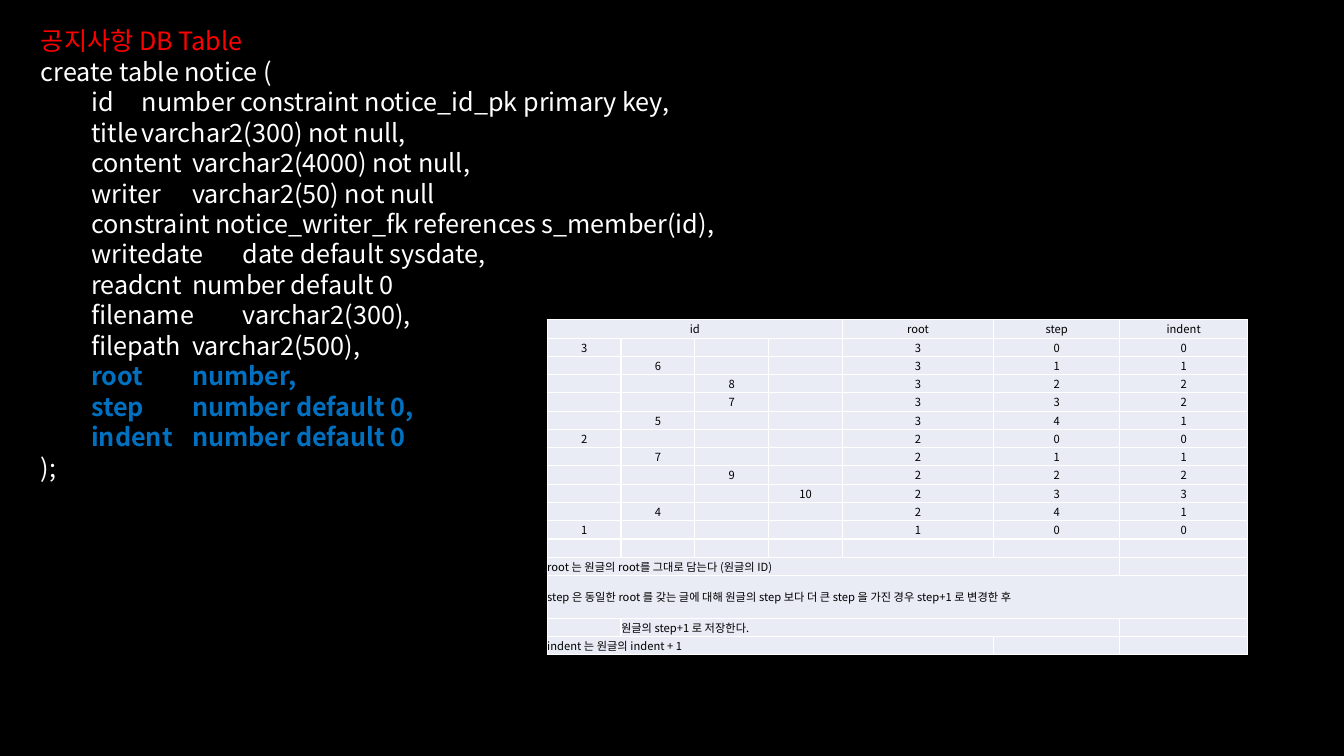
from dataclasses import dataclass

from lxml import etree
from pptx import Presentation
from pptx.dml.color import RGBColor
from pptx.enum.text import MSO_ANCHOR, MSO_AUTO_SIZE, PP_ALIGN
from pptx.oxml.ns import qn
from pptx.util import Cm, Pt

TOP, MIDDLE = MSO_ANCHOR.TOP, MSO_ANCHOR.MIDDLE
LEFT, CENTER = PP_ALIGN.LEFT, PP_ALIGN.CENTER
NO_AUTOFIT = MSO_AUTO_SIZE.NONE

FONT = "Noto Sans CJK KR"
BLACK, WHITE, RED, BLUE, PALE = "000000", "FFFFFF", "FF0000", "0070C0", "E9EBF5"
CODE_INDENT = 0.3
LINE_FORMAT = {"alignment": LEFT, "line_spacing": Pt(21.75),
               "space_before": Pt(0), "space_after": Pt(0)}
FRAME_FORMAT = {"word_wrap": True, "auto_size": NO_AUTOFIT, "vertical_anchor": TOP,
                "margin_left": Cm(0.25), "margin_right": Cm(0.25),
                "margin_top": Cm(0), "margin_bottom": Cm(0)}
CELL_FORMAT = {"vertical_anchor": MIDDLE, "margin_left": 0, "margin_right": 0,
               "margin_top": 0, "margin_bottom": 0}


@dataclass(frozen=True)
class SqlLine:
    """One line of the statement; each tab in it uses the next stop, in cm."""
    text: str
    stops: tuple[float, ...] = ()
    color: str = WHITE
    bold: bool = False


@dataclass(frozen=True)
class Post:
    id: int
    root: int
    step: int
    indent: int


@dataclass(frozen=True)
class Note:
    text: str
    row: int
    first: int
    last: int


def column(name: str, definition: str, stop: float, key: bool = False) -> SqlLine:
    return SqlLine(f"\t{name}\t{definition}", (CODE_INDENT, stop),
                   BLUE if key else WHITE, key)


SQL = [
    SqlLine("create table notice ("),
    column("id", "number constraint notice_id_pk primary key,", 2.26),
    column("title", "varchar2(300) not null,", 2.46),
    column("content", "varchar2(4000) not null,", 3.3),
    column("writer", "varchar2(50) not null", 2.9),
    SqlLine("\tconstraint notice_writer_fk references s_member(id),", (2.42,)),
    column("writedate", "date default sysdate,", 3.56),
    column("readcnt", "number default 0", 3.28),
    column("filename", "varchar2(300),", 3.45),
    column("filepath", "varchar2(500),", 3.12),
    column("root", "number,", 2.77, key=True),
    column("step", "number default 0,", 2.77, key=True),
    column("indent", "number default 0", 3.2, key=True),
    SqlLine(");"),
]
POSTS = [
    Post(3, 3, 0, 0), Post(6, 3, 1, 1), Post(8, 3, 2, 2), Post(7, 3, 3, 2),
    Post(5, 3, 4, 1), Post(2, 2, 0, 0), Post(7, 2, 1, 1), Post(9, 2, 2, 2),
    Post(10, 2, 3, 3), Post(4, 2, 4, 1), Post(1, 1, 0, 0),
]
NOTES = [
    Note("root 는 원글의 root를 그대로 담는다 (원글의 ID)", 13, 0, 5),
    Note("step 은 동일한 root 를 갖는 글에 대해 원글의 step 보다 더 큰 step 을 가진 경우 "
         "step+1 로 변경한 후", 14, 0, 6),
    Note("원글의 step+1 로 저장한다.", 15, 1, 5),
    Note("indent 는 원글의 indent + 1", 16, 0, 4),
]
COLUMN_WIDTHS = [1.86] * 4 + [3.81, 3.18, 3.22]
ROW_HEIGHTS = [0.46] * 14 + [1.08] + [0.46] * 2


def rgb(value: str) -> RGBColor:
    return RGBColor.from_string(value)


def apply(target, formats: dict) -> None:
    for name, value in formats.items():
        setattr(target, name, value)


def add_run(paragraph, text: str, size: float, color: str, bold: bool = False) -> None:
    run = paragraph.add_run()
    run.text = text
    apply(run.font, {"name": FONT, "size": Pt(size), "bold": bold})
    run.font.color.rgb = rgb(color)
    etree.SubElement(run.font._element, qn("a:ea"), typeface=FONT)


def place(placeholder, left: float, top: float, width: float, height: float) -> None:
    apply(placeholder, {"left": Cm(left), "top": Cm(top),
                        "width": Cm(width), "height": Cm(height)})
    apply(placeholder.text_frame, FRAME_FORMAT)


def write_line(paragraph, line: SqlLine) -> None:
    apply(paragraph, LINE_FORMAT)
    properties = paragraph._p.get_or_add_pPr()
    properties.set("marL", "0")
    properties.set("indent", "0")
    etree.SubElement(properties, qn("a:buNone"))
    if line.stops:
        tabs = etree.SubElement(properties, qn("a:tabLst"))
        for stop in line.stops:
            etree.SubElement(tabs, qn("a:tab"), pos=str(int(Cm(stop))), algn="l")
    add_run(paragraph, line.text, 18, line.color, line.bold)


def style_cell(cell) -> None:
    apply(cell, CELL_FORMAT)
    properties = cell._tc.get_or_add_tcPr()
    for side in ("lnL", "lnR", "lnT", "lnB"):
        border = etree.SubElement(properties, qn(f"a:{side}"), w=str(int(Pt(1))))
        fill = etree.SubElement(border, qn("a:solidFill"))
        etree.SubElement(fill, qn("a:srgbClr"), val=WHITE)
    cell.fill.solid()
    cell.fill.fore_color.rgb = rgb(PALE)
    # Keeps the empty cells as low as the filled ones
    etree.SubElement(cell.text_frame.paragraphs[0]._p, qn("a:endParaRPr"), sz="800")


def write_cell(cell, text: str, alignment: PP_ALIGN = CENTER) -> None:
    paragraph = cell.text_frame.paragraphs[0]
    paragraph.alignment = alignment
    add_run(paragraph, text, 8, BLACK)


def add_thread_table(slide) -> None:
    table = slide.shapes.add_table(
        len(ROW_HEIGHTS), len(COLUMN_WIDTHS), Cm(13.79), Cm(8.06),
        Cm(sum(COLUMN_WIDTHS)), Cm(sum(ROW_HEIGHTS))).table
    apply(table, {"first_row": False, "horz_banding": False})
    for table_column, width in zip(table.columns, COLUMN_WIDTHS):
        table_column.width = Cm(width)
    for row, height in zip(table.rows, ROW_HEIGHTS):
        row.height = Cm(height)
    for cell in table.iter_cells():
        style_cell(cell)

    table.cell(0, 0).merge(table.cell(0, 3))
    for index, heading in {0: "id", 4: "root", 5: "step", 6: "indent"}.items():
        write_cell(table.cell(0, index), heading)
    for row, post in enumerate(POSTS, start=1):
        values = {post.indent: post.id, 4: post.root, 5: post.step, 6: post.indent}
        for index, value in values.items():
            write_cell(table.cell(row, index), str(value))
    for note in NOTES:
        start = table.cell(note.row, note.first)
        start.merge(table.cell(note.row, note.last))
        write_cell(start, note.text, LEFT)


def main() -> None:
    deck = Presentation()
    apply(deck, {"slide_width": Cm(33.87), "slide_height": Cm(19.05)})
    slide = deck.slides.add_slide(deck.slide_layouts[1])
    slide.background.fill.solid()
    slide.background.fill.fore_color.rgb = rgb(BLACK)

    heading, statement = slide.placeholders
    place(heading, 0.78, 0.64, 31.37, 0.77)
    write_line(heading.text_frame.paragraphs[0], SqlLine("공지사항 DB Table", color=RED))
    place(statement, 0.78, 1.41, 31.37, 10.88)
    for index, line in enumerate(SQL):
        frame = statement.text_frame
        write_line(frame.add_paragraph() if index else frame.paragraphs[0], line)
    add_thread_table(slide)
    deck.save("out.pptx")


if __name__ == "__main__":
    main()
